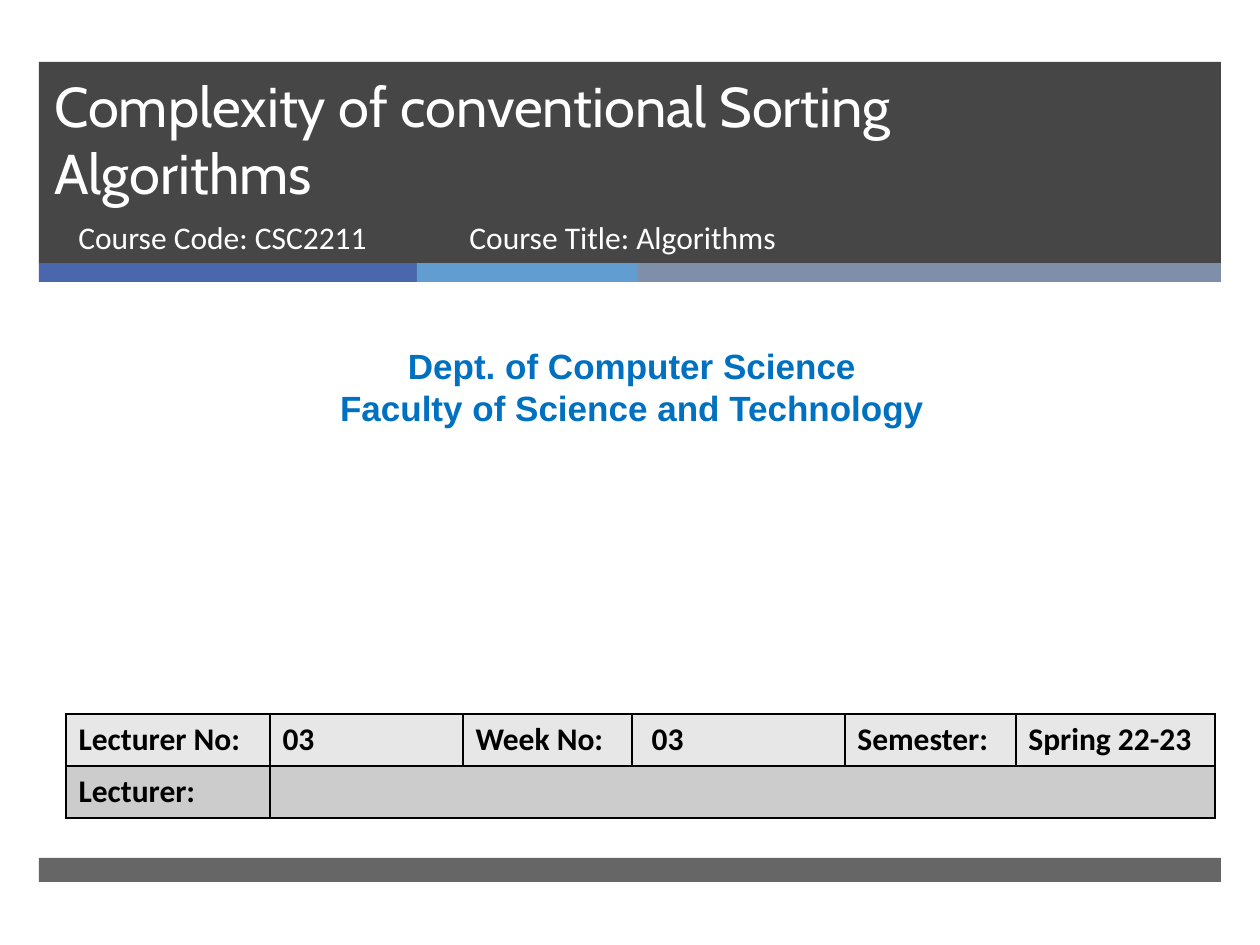
import pptx
import pptx.util
import pptx.dml.color
import pptx.enum.shapes
import pptx.enum.text
import pptx.oxml
import pptx.oxml.ns

PX = 914400 / 126
ALIGN = pptx.enum.text.PP_ALIGN
ANCHOR = pptx.enum.text.MSO_ANCHOR


def px(n):
    return pptx.util.Emu(round(n * PX))


def rgb(color):
    return pptx.dml.color.RGBColor.from_string(color)


def set_font(p, name, size, color, bold=False):
    p.font.name = name
    p.font.size = pptx.util.Pt(size)
    p.font.color.rgb = rgb(color)
    p.font.bold = bold


def add_bar(s, x, y, w, h, color, opacity=100):
    sp = s.shapes.add_shape(pptx.enum.shapes.MSO_SHAPE.RECTANGLE,
                            px(x), px(y), px(w), px(h))
    sp.shadow.inherit = False
    sp.line.fill.background()
    sp.fill.solid()
    sp.fill.fore_color.rgb = rgb(color)
    if opacity < 100:
        clr = sp._element.spPr.find(".//" + pptx.oxml.ns.qn("a:srgbClr"))
        alpha = clr.makeelement(pptx.oxml.ns.qn("a:alpha"), {"val": str(opacity * 1000)})
        clr.append(alpha)


def add_text(s, x, y, w, h, lines, font, size, color, bold=False,
             align=ALIGN.LEFT, anchor=ANCHOR.TOP):
    tf = s.shapes.add_textbox(px(x), px(y), px(w), px(h)).text_frame
    tf.word_wrap = True
    tf.vertical_anchor = anchor
    tf.text = "\n".join(lines)
    for p in tf.paragraphs:
        p.alignment = align
        set_font(p, font, size, color, bold)


def add_header(s, x, y, w):
    add_bar(s, x, y, w, 202, "262626", 85)
    left = x
    for width, color in ((378, "4A66AC"), (221, "629DD1"), (583, "7F8FA9")):
        add_bar(s, left, y + 201, width, 19, color)
        left += width
    add_text(s, x + 3, y, 1076, 150, ["Complexity of conventional Sorting Algorithms"],
             "Cabin", 32, "FFFFFF", anchor=ANCHOR.BOTTOM)
    add_text(s, x + 27, y + 150, 384, 67, ["Course Code: CSC2211"],
             "Calibri", 18, "FFFFFF")
    add_text(s, x + 418, y + 150, 573, 67, ["Course Title: Algorithms"],
             "Calibri", 18, "FFFFFF")


def set_borders(cell, color):
    tc_pr = cell._tc.get_or_add_tcPr()
    for i, side in enumerate("LRTB"):
        tc_pr.insert(i, pptx.oxml.parse_xml(
            f'<a:ln{side} {pptx.oxml.ns.nsdecls("a")} w="12700"><a:solidFill>'
            f'<a:srgbClr val="{color}"/></a:solidFill></a:ln{side}>'))


def add_lecture_table(s, x, y, row_height):
    rows = (("Lecturer No:", "03", "Week No:", " 03", "Semester:", "Spring 22-23"),
            ("Lecturer:", "", "", "", "", ""))
    fills = ("E7E7E7", "CCCCCC")
    widths = (204, 193, 169, 213, 171, 199)
    table = s.shapes.add_table(len(rows), len(widths), px(x), px(y), px(sum(widths)),
                               px(row_height * len(rows))).table
    for column, width in zip(table.columns, widths):
        column.width = px(width)
    for r, (texts, fill) in enumerate(zip(rows, fills)):
        table.rows[r].height = px(row_height)
        for c, text in enumerate(texts):
            cell = table.cell(r, c)
            cell.text = text
            set_font(cell.text_frame.paragraphs[0], "Calibri", 18, "000000", True)
            cell.fill.solid()
            cell.fill.fore_color.rgb = rgb(fill)
            set_borders(cell, "000000")
    table.cell(1, 1).merge(table.cell(1, len(widths) - 1))


def main():
    prs = pptx.Presentation()
    prs.slide_width, prs.slide_height = px(1260), px(945)
    s = prs.slides.add_slide(prs.slide_layouts[6])
    add_header(s, 39, 62, 1182)
    add_bar(s, 39, 858, 1182, 24, "262626", 70)
    add_text(s, 10, 338, 1244, 97,
             ["Dept. of Computer Science", "Faculty of Science and Technology"],
             "Arial", 20, "0070C0", True, ALIGN.CENTER)
    add_lecture_table(s, 66, 714, 52)
    prs.save("out.pptx")


if __name__ == "__main__":
    main()
